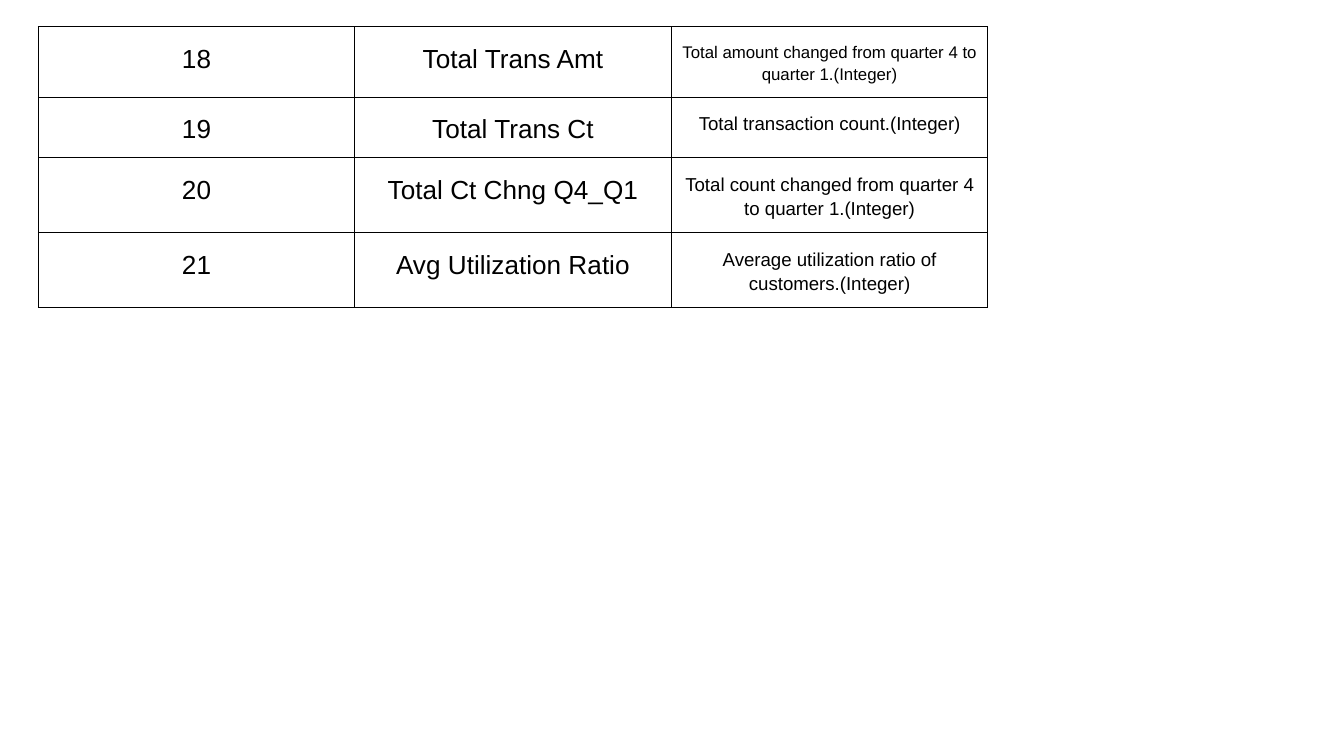
from lxml import etree
from pptx import Presentation
from pptx import util as u
from pptx.dml.color import RGBColor
from pptx.enum import text
from pptx.oxml.ns import qn

WIDTH = 10
HEIGHT = WIDTH * 9 / 16

FIELDS = [
    ("18", "Total Trans Amt",
     "Total amount changed from quarter 4 to quarter 1.(Integer)", 9),
    ("19", "Total Trans Ct", "Total transaction count.(Integer)", 10),
    ("20", "Total Ct Chng Q4_Q1",
     "Total count changed from quarter 4 to quarter 1.(Integer)", 10),
    ("21", "Avg Utilization Ratio",
     "Average utilization ratio of customers.(Integer)", 10),
]


def color(hex_string):
    return RGBColor.from_string(hex_string)


class Deck:
    font, ink, rule = "Arial", "000000", 0.6
    label_size = 14

    def __init__(self, width, height):
        self.prs = Presentation()
        self.prs.slide_width = u.Inches(width)
        self.prs.slide_height = u.Inches(height)
        self.s = self.prs.slides.add_slide(self.prs.slide_layouts[6])

    def x(self, share):
        return round(self.prs.slide_width * share)

    def y(self, share):
        return round(self.prs.slide_height * share)

    def borders(self, cell):
        tc_pr = cell._tc.get_or_add_tcPr()
        for side in ("a:lnL", "a:lnR", "a:lnT", "a:lnB"):
            ln = etree.SubElement(tc_pr, qn(side), w=str(u.Pt(self.rule)))
            fill = etree.SubElement(ln, qn("a:solidFill"))
            etree.SubElement(fill, qn("a:srgbClr"), val=self.ink)

    def cell(self, cell, words, size):
        self.borders(cell)
        cell.fill.background()
        cell.margin_left = cell.margin_right = u.Inches(0.07)
        cell.margin_top = cell.margin_bottom = u.Inches(0.1)
        p = cell.text_frame.paragraphs[0]
        p.alignment = text.PP_ALIGN.CENTER
        p.line_spacing = 1.15
        p.space_before = p.space_after = u.Pt(12)
        r = p.add_run()
        r.text = words
        r.font.name, r.font.size = self.font, u.Pt(size)
        r.font.color.rgb = color(self.ink)

    def field_table(self, fields, left, top, col, row):
        """Place a three-column table; col and row are shares of the slide.

        Rows grow to fit their text.
        """
        table = self.s.shapes.add_table(
            len(fields), 3, self.x(left), self.y(top),
            self.x(3 * col), self.y(len(fields) * row)).table
        table.first_row = table.horz_banding = False
        for column in table.columns:
            column.width = self.x(col)
        for i, (number, name, meaning, size) in enumerate(fields):
            table.rows[i].height = self.y(row)
            sizes = (self.label_size, self.label_size, size)
            for j, words in enumerate((number, name, meaning)):
                self.cell(table.cell(i, j), words, sizes[j])


def main():
    deck = Deck(WIDTH, HEIGHT)
    deck.field_table(FIELDS, left=0.285 / WIDTH, top=0.2 / HEIGHT,
                     col=2.355 / WIDTH, row=0.4 / HEIGHT)
    deck.prs.save("out.pptx")


if __name__ == "__main__":
    main()
